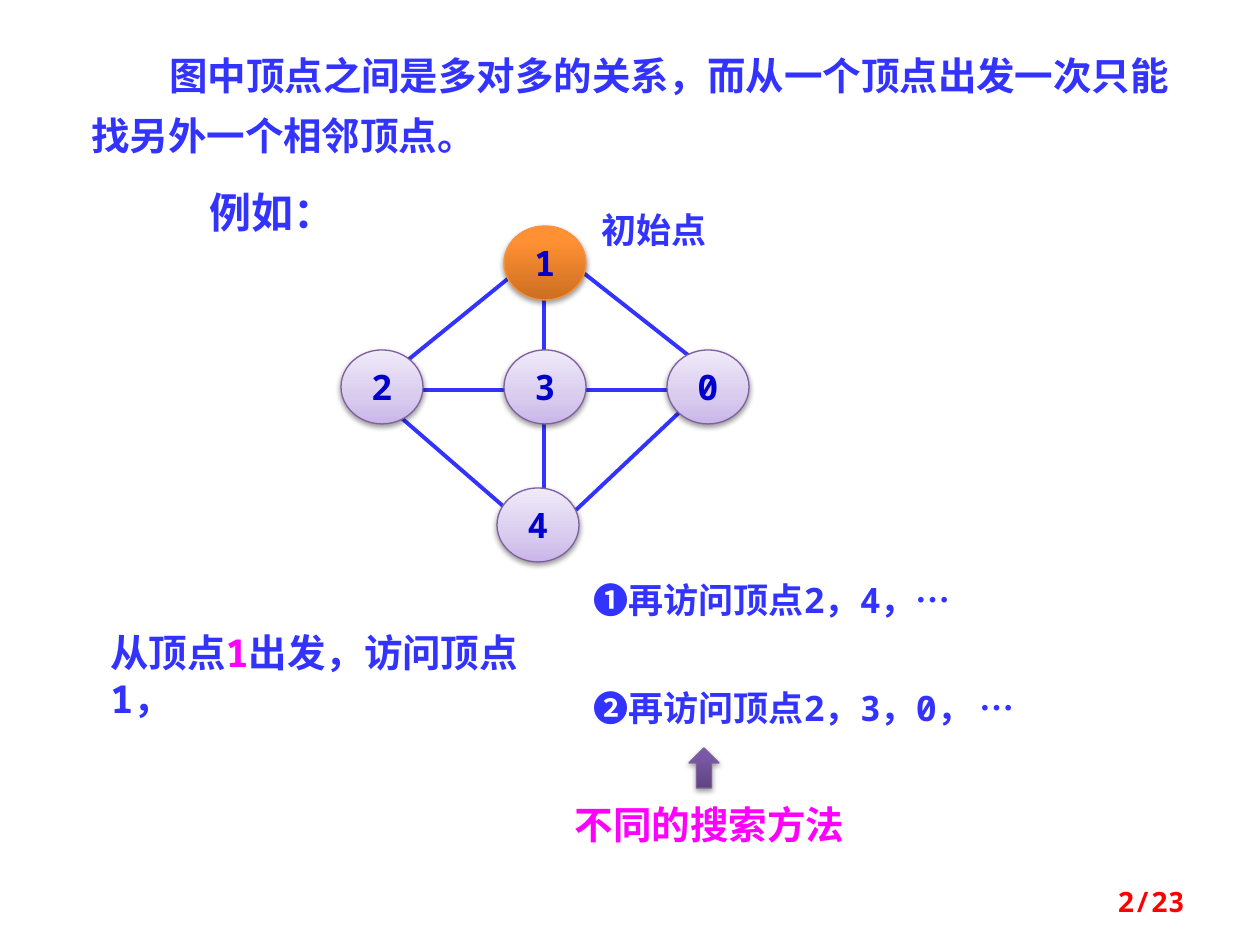
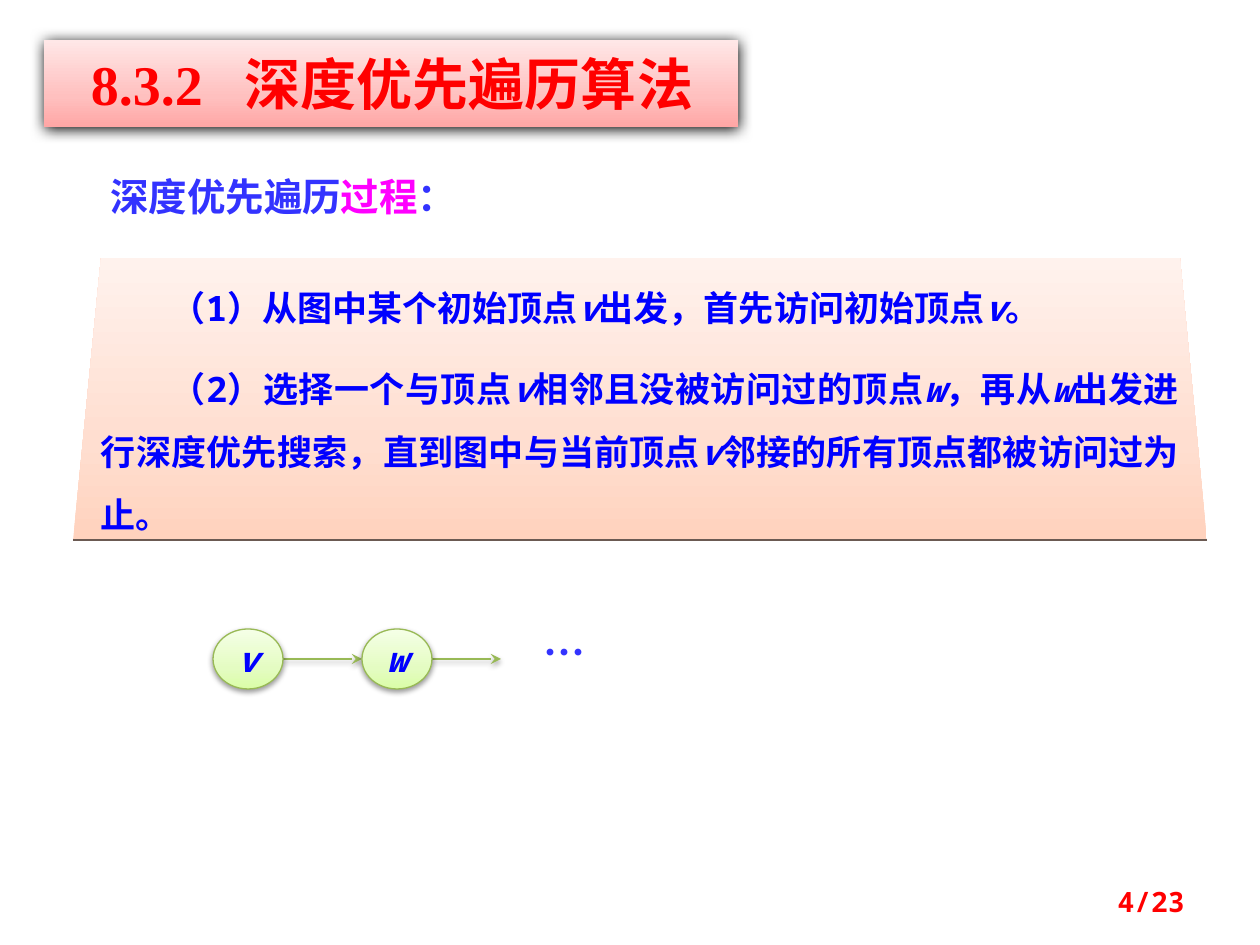
"""Build two slides on graph traversal and depth-first search."""
from lxml.etree import SubElement as Sub
from pptx import Presentation
from pptx.dml.color import RGBColor
from pptx.enum.shapes import MSO_CONNECTOR as CONN, MSO_SHAPE as SHAPE
from pptx.enum.text import MSO_ANCHOR as ANCHOR, PP_ALIGN as ALIGN
from pptx.oxml.ns import qn
from pptx.util import Pt

PX = 7257
rgb = RGBColor.from_string
CJK, MONO, TIMES = "Noto Sans CJK SC", "Noto Sans Mono", "Times New Roman"
BLUE, DEEP, NAVY, PINK, RED = "3333FF", "0000FF", "0000CC", "FF00FF", "FF0000"
LILAC = [(0, "C9B5E8"), (35, "D8CBEE"), (100, "F0EAF9")]
ORANGE = [(0, "CC6E20"), (80, "FF9034"), (100, "FF9136")]
PURPLE = [(0, "5F4480"), (80, "7B58A6"), (100, "7C57A8")]
GREEN = [(0, "DAFDA7"), (35, "E4FCC2"), (100, "F5FFE7")]
PEACH = [(0, "FFD2BD"), (35, "FFDED0"), (100, "FFF2ED")]
ROSE = [(0, "FFA6A5"), (35, "FFC0BF"), (100, "FFE7E7")]
SOFT, STRONG = (38, 3.1, 1.6), (100, 8.5, 1)


def style(sp, stops=None, line=None, width=0.75, shadow=None):
    """Set gradient, outline and shadow; stops run from bottom to top."""
    spPr = sp._element.spPr
    if stops:
        sp.fill.gradient()
        sp.fill.gradient_angle = 90
        gs_lst = spPr.find(qn("a:gradFill")).find(qn("a:gsLst"))
        gs_lst.clear()
        for pos, color in stops:
            gs = Sub(gs_lst, qn("a:gs"), pos=str(pos * 1000))
            Sub(gs, qn("a:srgbClr"), val=color)
    if line:
        sp.line.color.rgb = rgb(line)
        sp.line.width = Pt(width)
    else:
        sp.line.fill.background()
    effects = Sub(spPr, qn("a:effectLst"))
    if shadow:
        alpha, blur, dist = shadow
        outer = Sub(effects, qn("a:outerShdw"), blurRad=str(Pt(blur)), dist=str(Pt(dist)),
                    dir="5400000", rotWithShape="0")
        color = Sub(outer, qn("a:srgbClr"), val="000000")
        Sub(color, qn("a:alpha"), val=str(alpha * 1000))


def write(sp, lines, size, color, font, align=ALIGN.LEFT, pitch=None, indent=0, tab=0,
          italic=False, anchor=ANCHOR.TOP):
    """Fill a shape with paragraphs; every second part between bars is accented."""
    tf = sp.text_frame
    tf.word_wrap = True
    tf.vertical_anchor = anchor
    for i, line in enumerate(lines):
        p = tf.paragraphs[0] if i == 0 else tf.add_paragraph()
        p.alignment = align
        if pitch:
            p.line_spacing = Pt(pitch)
        if i:
            p.space_before = Pt(size / 2)
        pPr = p._p.get_or_add_pPr()
        if indent:
            pPr.set("indent", str(indent * PX))
        if tab:
            Sub(Sub(pPr, qn("a:tabLst")), qn("a:tab"), pos=str(tab * PX), algn="l")
        p.font.size = Pt(size)
        p.font.bold = True
        p.font.color.rgb = rgb(color)
        p.font.name = font
        Sub(pPr.find(qn("a:defRPr")), qn("a:ea"), typeface=CJK)
        for j, part in enumerate(line.split("|")):
            r = p.add_run()
            r.text = part
            if italic:
                r.font.italic = j % 2 == 1
            elif j % 2:
                r.font.color.rgb = rgb(PINK)


prs = Presentation()
prs.slide_width, prs.slide_height = 1260 * PX, 945 * PX
search, process = [prs.slides.add_slide(prs.slide_layouts[6]) for _ in range(2)]

edges = [(416, 390, 673, 390), (398, 415, 510, 512), (576, 510, 684, 408),
         (576, 267, 693, 359), (515, 273, 387, 377), (544, 299, 544, 522)]
for edge in edges:
    style(search.shapes.add_connector(CONN.STRAIGHT, *[v * PX for v in edge]),
          line=BLUE, width=2.25)

arrows = [(283, 659, 362, 659), (432, 659, 501, 659)]
for arrow in arrows:
    sp = process.shapes.add_connector(CONN.STRAIGHT, *[v * PX for v in arrow])
    style(sp, line="98B955", shadow=SOFT)
    Sub(sp._element.spPr.find(qn("a:ln")), qn("a:tailEnd"), type="stealth")

nodes = [(search, "1", 504, 226, 82, 74, ORANGE, "F69240", NAVY),
         (search, "3", 504, 350, 82, 74, LILAC, "7D60A0", NAVY),
         (search, "0", 667, 350, 82, 74, LILAC, "7D60A0", NAVY),
         (search, "2", 341, 350, 82, 74, LILAC, "7D60A0", NAVY),
         (search, "4", 497, 488, 82, 74, LILAC, "7D60A0", NAVY),
         (process, "|v", 213, 629, 70, 60, GREEN, "98B955", DEEP),
         (process, "|w", 362, 629, 70, 60, GREEN, "98B955", DEEP)]
for s, label, x, y, w, h, stops, line, color in nodes:
    sp = s.shapes.add_shape(SHAPE.OVAL, x * PX, y * PX, w * PX, h * PX)
    style(sp, stops, line, shadow=SOFT)
    tf = sp.text_frame
    tf.margin_left = tf.margin_right = tf.margin_top = tf.margin_bottom = 0
    write(sp, [label], 20, color, MONO, ALIGN.CENTER, italic=s is process,
          anchor=ANCHOR.MIDDLE)

sp = search.shapes.add_shape(SHAPE.UP_ARROW, 689 * PX, 748 * PX, 30 * PX, 40 * PX)
style(sp, PURPLE, "7D60A0", shadow=SOFT)

sp = process.shapes.add_shape(SHAPE.RECTANGLE, 44 * PX, 40 * PX, 694 * PX, 87 * PX)
style(sp, ROSE, shadow=STRONG)
sp.text_frame.margin_left, sp.text_frame.margin_right = 47 * PX, 0
write(sp, ["8.3.2\t深度优先遍历算法"], 32, RED, TIMES, tab=154, anchor=ANCHOR.MIDDLE)

panel = process.shapes.build_freeform(101, 258, scale=PX)
panel.add_line_segments([(1180, 258), (1207, 541), (73, 541)], close=True)
sp = panel.convert_to_shape()
style(sp, PEACH)
tf = sp.text_frame
tf.margin_left = tf.margin_right = 28 * PX
tf.margin_top, tf.margin_bottom = 8 * PX, 0
write(sp, ["（1）从图中某个初始顶点|v|出发，首先访问初始顶点|v|。",
           "（2）选择一个与顶点|v|相邻且没被访问过的顶点|w|，再从|w|"
           "出发进行深度优先搜索，直到图中与当前顶点|v|邻接的所有顶点都被访问过为止。"],
      20, DEEP, MONO, ALIGN.JUSTIFY, pitch=36, indent=70, italic=True)
sp = process.shapes.add_connector(CONN.STRAIGHT, 73 * PX, 540 * PX, 1207 * PX, 540 * PX)
style(sp, line="6B5A52", width=1.5)

texts = [
    (search, (79, 33, 1122, 127), "图中顶点之间是多对多的关系，而从一个顶点出发一次只能找另外一个相邻顶点。",
     22, BLUE, TIMES, dict(pitch=34, indent=78)),
    (search, (197, 180, 168, 63), "例如：", 24, BLUE, CJK, {}),
    (search, (581, 202, 147, 55), "初始点", 20, BLUE, CJK, dict(align=ALIGN.CENTER)),
    (search, (98, 624, 483, 106), "从顶点|1|出发，访问顶点1，", 22, BLUE, MONO, dict(pitch=26)),
    (search, (581, 572, 483, 55), "❶再访问顶点2，4，…", 20, BLUE, MONO, {}),
    (search, (581, 680, 542, 55), "❷再访问顶点2，3，0， …", 20, BLUE, MONO, {}),
    (search, (542, 795, 335, 59), "不同的搜索方法", 22, PINK, TIMES, dict(align=ALIGN.CENTER)),
    (process, (98, 167, 444, 59), "深度优先遍历|过程|：", 22, BLUE, TIMES, {}),
    (process, (520, 620, 90, 63), "…", 24, BLUE, CJK, dict(align=ALIGN.CENTER)),
]
for s, page in [(search, 2), (process, 4)]:
    texts.append((s, (903, 876, 294, 50), f"{page}/23", 16, RED, MONO,
                  dict(align=ALIGN.RIGHT, anchor=ANCHOR.MIDDLE)))
for s, box, text, size, color, font, options in texts:
    sp = s.shapes.add_textbox(*[v * PX for v in box])
    write(sp, [text], size, color, font, **options)

prs.save("out.pptx")
